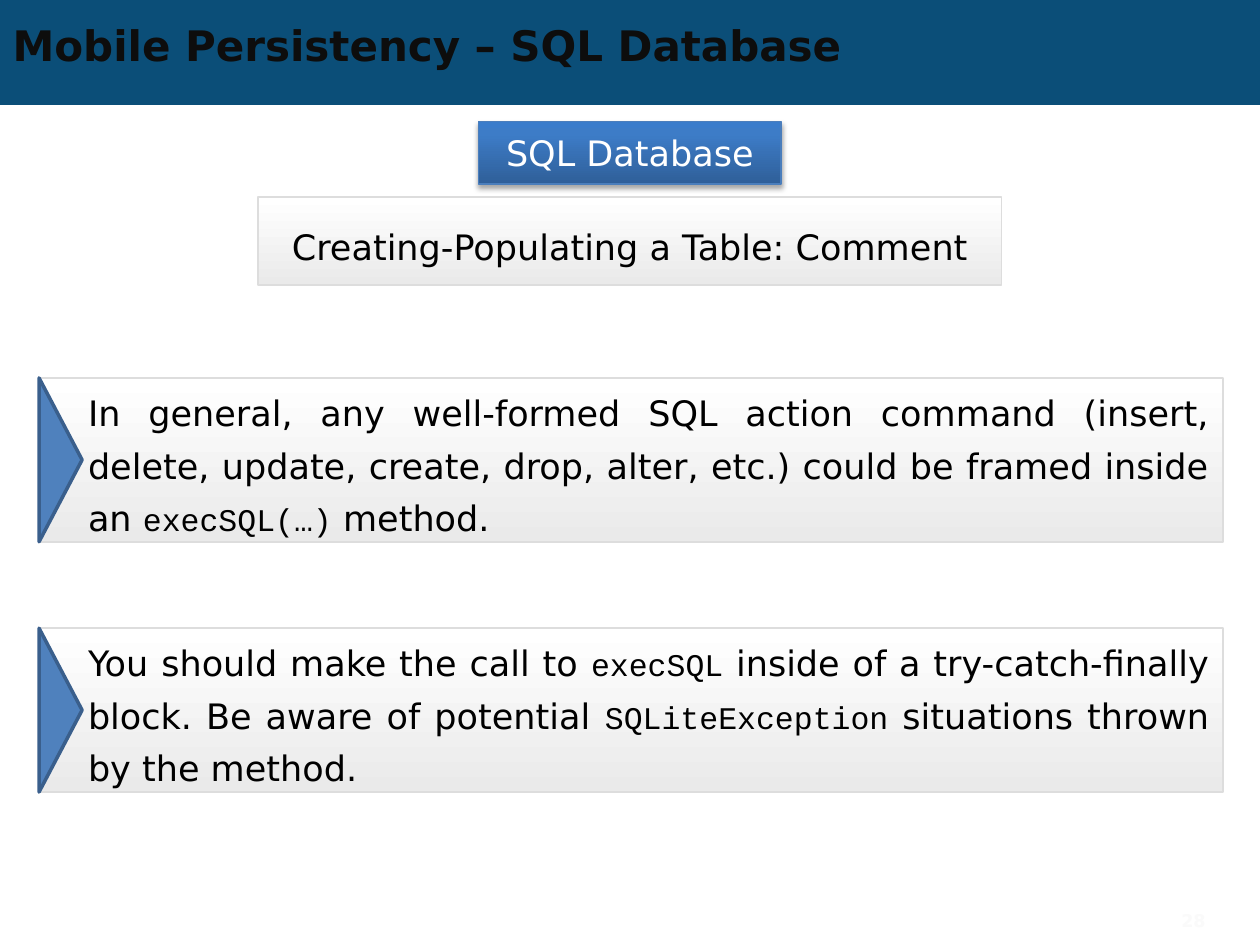
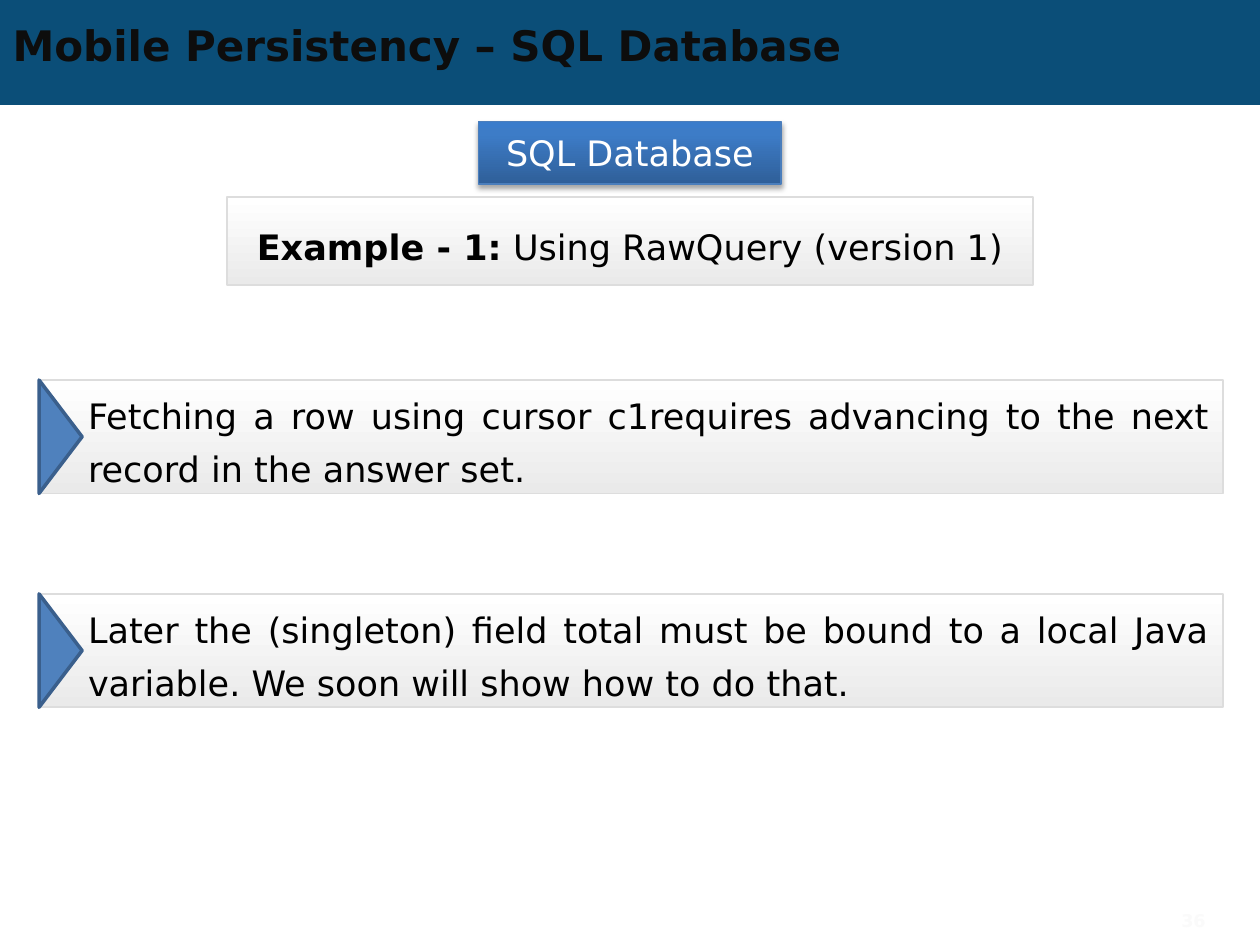
from pptx import Presentation
from pptx.dml.color import RGBColor
from pptx.enum.shapes import MSO_SHAPE as Geometry
from pptx.enum.text import MSO_ANCHOR as Anchor, PP_ALIGN as Align
from pptx.oxml import parse_xml
from pptx.oxml.ns import nsdecls, qn
from pptx.util import Pt

TITLE = "Mobile Persistency – SQL Database"
TOPIC = "SQL Database"
SLIDES = [
    {
        "number": "28",
        "heading": [("Creating-Populating a Table: Comment", "plain")],
        "heading_width": 424.8,
        "panel_tops": [216, 359],
        "panel_height": 93.6,
        "panels": [
            [("In general, any well-formed SQL action command (insert, delete, update, "
              "create, drop, alter, etc.) could be framed inside an ", "plain"),
             ("execSQL(…)", "code"), (" method.", "plain")],
            [("You should make the call to ", "plain"), ("execSQL", "code"),
             (" inside of a try-catch-finally block. Be aware of potential ", "plain"),
             ("SQLiteException", "code"),
             (" situations thrown by the method.", "plain")],
        ],
    },
    {
        "number": "36",
        "heading": [("Example - 1:", "strong"), (" Using RawQuery (version 1)", "plain")],
        "heading_width": 460.8,
        "panel_tops": [217.2, 339.4],
        "panel_height": 64.8,
        "panels": [
            [("Fetching a row using cursor c1requires advancing to the next record "
              "in the answer set.", "plain")],
            [("Later the (singleton) field total must be bound to a local Java variable. "
              "We soon will show how to do that.", "plain")],
        ],
    },
]

COLORS = {
    "band": "0B4E78", "title": "0D0D0D", "text": "000000", "white": "FFFFFF",
    "topic_line": "4B7EBC", "panel_line": "DDDDDD", "marker": "4F81BD",
    "marker_line": "3A5F8C", "number": "FAFAFA",
}
TOPIC_GRADIENT = (270, [(0, "2F5F99"), (80, "3D7CC7"), (100, "3A7CCB")])
PANEL_GRADIENT = (90, [(0, "FFFFFF"), (100, "EAEAEA")])
SANS, MONO = "DejaVu Sans", "Courier New"
STYLES = {
    "title": (SANS, 24, True, "title"),
    "topic": (SANS, 20, False, "white"),
    "plain": (SANS, 20, False, "text"),
    "strong": (SANS, 20, True, "text"),
    "code": (MONO, 18, False, "text"),
    "number": (SANS, 10, True, "number"),
}
SLIDE_W, SLIDE_H = 720, 540
BAND_H = 60
PANEL_LEFT, PANEL_W = 22.3, 676.8
MARKER_DEPTH = 24.6


def color(name):
    return RGBColor.from_string(COLORS[name])


def write(frame, runs, align, spacing=None):
    paragraph = frame.paragraphs[0]
    paragraph.alignment = align
    if spacing:
        paragraph.line_spacing = Pt(spacing)
    for text, style in runs:
        run = paragraph.add_run()
        run.text = text
        face, size, bold, ink = STYLES[style]
        run.font.name, run.font.size, run.font.bold = face, Pt(size), bold
        run.font.color.rgb = color(ink)


def add_block(shapes, geometry, box, fill, line=None, line_width=1):
    block = shapes.add_shape(geometry, *map(Pt, box))
    block.shadow.inherit = False
    if isinstance(fill, str):
        block.fill.solid()
        block.fill.fore_color.rgb = color(fill)
    else:
        angle, stops = fill
        marks = "".join(f'<a:gs pos="{at * 1000}"><a:srgbClr val="{ink}"/></a:gs>'
                        for at, ink in stops)
        gradient = parse_xml(f'<a:gradFill {nsdecls("a")} rotWithShape="1"><a:gsLst>{marks}'
                             f'</a:gsLst><a:lin ang="{angle * 60000}" scaled="0"/></a:gradFill>')
        block.element.spPr.find(qn("a:prstGeom")).addnext(gradient)
    if line:
        block.line.color.rgb = color(line)
        block.line.width = Pt(line_width)
    else:
        block.line.fill.background()
    block.text_frame.word_wrap = True
    block.text_frame.vertical_anchor = Anchor.MIDDLE
    return block


def add_topic(slide):
    width = 172.8
    topic = add_block(slide.shapes, Geometry.RECTANGLE,
                      ((SLIDE_W - width) / 2, 69.6, width, 35.6),
                      TOPIC_GRADIENT, "topic_line", 0.75)
    topic.element.spPr.find(qn("a:effectLst")).append(parse_xml(
        f'<a:outerShdw {nsdecls("a")} blurRad="{Pt(3.1)}" dist="{Pt(1.8)}" dir="5400000" '
        'rotWithShape="0"><a:srgbClr val="000000"><a:alpha val="35000"/></a:srgbClr>'
        '</a:outerShdw>'))
    write(topic.text_frame, [(TOPIC, "topic")], Align.CENTER)


def add_heading(slide, runs, width):
    heading = add_block(slide.shapes, Geometry.RECTANGLE,
                        ((SLIDE_W - width) / 2, 112.5, width, 50.4),
                        PANEL_GRADIENT, "panel_line")
    write(heading.text_frame, runs, Align.CENTER, 30)


def add_panel(slide, runs, top, height):
    shapes = slide.shapes.add_group_shape().shapes
    panel = add_block(shapes, Geometry.RECTANGLE, (PANEL_LEFT, top, PANEL_W, height),
                      PANEL_GRADIENT, "panel_line")
    frame = panel.text_frame
    frame.margin_left, frame.margin_right = Pt(28), Pt(8)
    frame.margin_top = frame.margin_bottom = 0
    write(frame, runs, Align.JUSTIFY, 30)
    marker_box = (PANEL_LEFT + (MARKER_DEPTH - height) / 2,
                  top + (height - MARKER_DEPTH) / 2, height, MARKER_DEPTH)
    marker = add_block(shapes, Geometry.ISOSCELES_TRIANGLE, marker_box,
                       "marker", "marker_line", 2)
    marker.rotation = 90


def add_number(slide, number):
    frame = slide.shapes.add_textbox(Pt(660), Pt(516), Pt(36), Pt(20)).text_frame
    frame.word_wrap = True
    frame.vertical_anchor = Anchor.MIDDLE
    write(frame, [(number, "number")], Align.RIGHT)


def prepare_layout(layout, slide):
    band = add_block(slide.shapes, Geometry.RECTANGLE, (0, 0, SLIDE_W, BAND_H), "band")
    layout.shapes.element.insert(2, band.element)
    title = layout.placeholders[0]
    title.left, title.top, title.width, title.height = map(Pt, (0, 10, 648, 31))
    title.text_frame.vertical_anchor = Anchor.MIDDLE


def main():
    deck = Presentation()
    deck.slide_width, deck.slide_height = Pt(SLIDE_W), Pt(SLIDE_H)
    layout = deck.slide_layouts[5]
    for index, content in enumerate(SLIDES):
        slide = deck.slides.add_slide(layout)
        if index == 0:
            prepare_layout(layout, slide)
        write(slide.shapes.title.text_frame, [(TITLE, "title")], Align.LEFT)
        add_topic(slide)
        add_heading(slide, content["heading"], content["heading_width"])
        for runs, top in zip(content["panels"], content["panel_tops"]):
            add_panel(slide, runs, top, content["panel_height"])
        add_number(slide, content["number"])
    deck.save("out.pptx")


if __name__ == "__main__":
    main()
